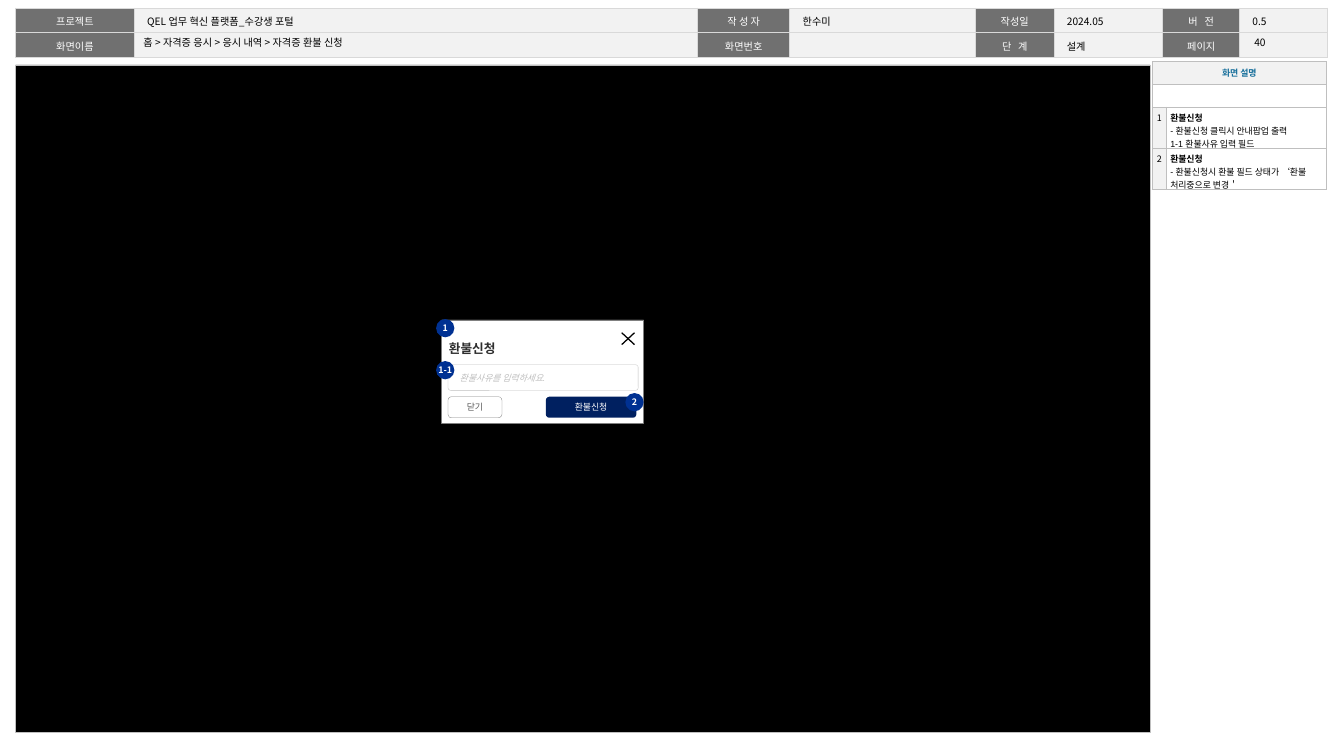
from lxml.etree import SubElement
from pptx import Presentation
from pptx.dml.color import RGBColor
from pptx.enum.shapes import MSO_CONNECTOR, MSO_SHAPE
from pptx.enum.text import MSO_ANCHOR, PP_ALIGN
from pptx.oxml.ns import qn
from pptx.util import Emu, Pt

PX = 9144  # 100 px to the inch
NOTO, ARIAL = "Noto Sans CJK KR", "Arial"
COLORS = {
    "black": "000000", "white": "FFFFFF", "label": "707070", "value": "F2F2F2",
    "header_rule": "D9D9D9", "rule": "BFBFBF", "popup_rule": "808080",
    "heading": "176F9B", "title": "2E2E2E", "close": "595959",
    "submit": "002060", "badge": "003192",
}
HEADER_ROWS = [
    ["프로젝트", "QEL 업무 혁신 플랫폼_수강생 포털", "작 성 자", "한수미",
     "작성일", "2024.05", "버 전", "0.5"],
    ["화면이름", "", "화면번호", "", "단 계", "설계", "페이지", ""],
]
SPREAD_LABELS = ("버 전", "단 계")
NOTES = [
    ("1", "환불신청\n- 환불신청 클릭시 안내팝업 출력\n1-1 환불사유 입력 필드"),
    ("2", "환불신청\n- 환불신청시 환불 필드 상태가 ‘환불 처리중으로 변경＇"),
]


def px(*lengths):
    return [Emu(length * PX) for length in lengths]


def rgb(name):
    return RGBColor.from_string(COLORS[name])


def style_run(run, size, color, font=NOTO, bold=False, italic=False):
    run.font.size = Pt(size)
    run.font.color.rgb = rgb(color)
    run.font.name = font
    run.font.bold = bold
    run.font.italic = italic
    SubElement(run._r.rPr, qn("a:ea"), typeface=NOTO)


def write(frame, text, size, color, align=PP_ALIGN.LEFT, line_spacing=None, **look):
    frame.text = text
    for paragraph in frame.paragraphs:
        paragraph.alignment = align
        if line_spacing:
            paragraph.line_spacing = line_spacing
        for run in paragraph.runs:
            style_run(run, size, color, **look)
        if not paragraph.runs:
            SubElement(paragraph._p, qn("a:endParaRPr"), sz=str(size * 100))


def set_margins(target, left, top, right, bottom):
    (target.margin_left, target.margin_top,
     target.margin_right, target.margin_bottom) = px(left, top, right, bottom)


def add_grid(slide, left, top, columns, rows):
    """Add a table without the banded style, sized by its columns and rows."""
    table = slide.shapes.add_table(
        len(rows), len(columns), *px(left, top, sum(columns), sum(rows))).table
    table.first_row = table.horz_banding = False
    for column, width in zip(table.columns, columns):
        column.width = Emu(width * PX)
    for row, height in zip(table.rows, rows):
        row.height = Emu(height * PX)
    return table


def paint_cell(cell, fill, rule, rule_width, side_margin):
    set_margins(cell, side_margin, 5, side_margin, 5)
    properties = cell._tc.get_or_add_tcPr()
    for side in ("lnL", "lnR", "lnT", "lnB"):
        border = SubElement(properties, qn(f"a:{side}"), w=str(Pt(rule_width)))
        paint = SubElement(border, qn("a:solidFill"))
        SubElement(paint, qn("a:srgbClr"), val=COLORS[rule])
    cell.fill.solid()
    cell.fill.fore_color.rgb = rgb(fill)


def add_box(slide, kind, box, fill=None, line=None, line_width=0.25):
    shape = slide.shapes.add_shape(kind, *px(*box))
    shape.shadow.inherit = False
    if fill:
        shape.fill.solid()
        shape.fill.fore_color.rgb = rgb(fill)
    else:
        shape.fill.background()
    if line:
        shape.line.color.rgb = rgb(line)
        shape.line.width = Pt(line_width)
    else:
        shape.line.fill.background()
    return shape


def write_in(shape, margins, text, size, color, anchor=MSO_ANCHOR.MIDDLE, wrap=True, **look):
    frame = shape.text_frame
    frame.word_wrap = wrap
    frame.vertical_anchor = anchor
    set_margins(frame, *margins)
    write(frame, text, size, color, **look)


def add_header(slide, left, top):
    header = add_grid(slide, left, top, [130, 616, 101, 203, 86, 119, 84, 96], [24, 24])
    for row, texts in enumerate(HEADER_ROWS):
        for column, text in enumerate(texts):
            is_label = column % 2 == 0
            cell = header.cell(row, column)
            paint_cell(cell, "label" if is_label else "value", "header_rule", 1, 14)
            write(cell.text_frame, text, 8, "white" if is_label else "black",
                  PP_ALIGN.CENTER if is_label else PP_ALIGN.LEFT, line_spacing=1.05)
            if text in SPREAD_LABELS:
                cell.text_frame.paragraphs[0].runs[0].font._rPr.set("spc", "180")
    for offset, width, text in ((130, 591, "홈 > 자격증 응시 > 응시 내역 > 자격증 환불 신청"),
                                (1345, 72, "40")):
        field = slide.shapes.add_textbox(*px(left + offset, top + 29, width, 16))
        write_in(field, (10, 5, 10, 5), text, 8, "black")


def add_description(slide, left, top):
    description = add_grid(slide, left, top, [16, 175], [25, 25, 34, 34])
    for row, fill in enumerate(("value", "white")):
        description.cell(row, 0).merge(description.cell(row, 1))
        for column in range(2):
            paint_cell(description.cell(row, column), fill, "rule", 0.25, 4)
            write(description.cell(row, column).text_frame, "", 7, "black")
    heading = description.cell(0, 0)
    heading.vertical_anchor = MSO_ANCHOR.MIDDLE
    heading.text_frame.clear()
    for leftover in heading.text_frame.paragraphs[0]._p.findall(qn("a:endParaRPr")):
        leftover.getparent().remove(leftover)
    write(heading.text_frame, "화면 설명", 7, "heading", PP_ALIGN.CENTER, bold=True)
    for row, (number, note) in enumerate(NOTES, start=2):
        number_cell, note_cell = description.cell(row, 0), description.cell(row, 1)
        paint_cell(number_cell, "value", "rule", 0.25, 4)
        write(number_cell.text_frame, number, 7, "black", PP_ALIGN.CENTER)
        paint_cell(note_cell, "white", "rule", 0.25, 4)
        note_cell.vertical_anchor = MSO_ANCHOR.MIDDLE
        write(note_cell.text_frame, note, 7, "black", font=ARIAL)
        note_cell.text_frame.paragraphs[0].runs[0].font.bold = True


def add_close_icon(slide, left, top, width, height):
    icon = slide.shapes.add_group_shape()
    right, bottom = left + width, top + height
    for ends in ((left, top, right, bottom), (right, top, left, bottom)):
        stroke = icon.shapes.add_connector(MSO_CONNECTOR.STRAIGHT, *px(*ends))
        stroke.line.color.rgb = rgb("black")
        stroke.line.width = Pt(1)
        SubElement(stroke._element.spPr, qn("a:effectLst"))


def add_refund_popup(slide, left, top, width, height):
    panel = add_box(slide, MSO_SHAPE.RECTANGLE, (left, top, width, height), "white", "popup_rule")
    write_in(panel, (8, 23, 0, 0), "환불신청", 10, "title", MSO_ANCHOR.TOP,
             font=ARIAL, bold=True)

    reason = add_box(slide, MSO_SHAPE.ROUNDED_RECTANGLE, (left + 7, top + 49, 208, 28),
                     line="rule")
    reason.adjustments[0] = 0.1
    write_in(reason, (12, 0, 8, 0), "환불사유를 입력하세요.", 7, "rule", font=ARIAL, italic=True)

    add_close_icon(slide, left + 197, top + 14, 14, 13)

    submit = add_box(slide, MSO_SHAPE.ROUNDED_RECTANGLE, (left + 114, top + 84, 99, 23), "submit")
    write_in(submit, (10, 5, 10, 5), "환불신청", 7, "white", align=PP_ALIGN.CENTER)
    close = add_box(slide, MSO_SHAPE.ROUNDED_RECTANGLE, (left + 7, top + 84, 59, 23),
                    line="popup_rule")
    write_in(close, (0, 5, 0, 5), "닫기", 7, "close", align=PP_ALIGN.CENTER)

    for number, x, y in (("1", -6, -1), ("1-1", -6, 45), ("2", 201, 80)):
        badge = add_box(slide, MSO_SHAPE.OVAL, (left + x, top + y, 20, 20), "badge")
        write_in(badge, (0, 0, 0, 0), number, 7, "white", wrap=False,
                 align=PP_ALIGN.CENTER, bold=True)


def main():
    presentation = Presentation()
    presentation.slide_width, presentation.slide_height = px(1470, 827)
    slide = presentation.slides.add_slide(presentation.slide_layouts[6])
    add_header(slide, 17, 9)
    add_box(slide, MSO_SHAPE.RECTANGLE, (17, 71, 1241, 730), "black", "rule", 0.5)
    add_description(slide, 1260, 67)
    add_refund_popup(slide, 483, 350, 221, 113)
    presentation.save("out.pptx")


if __name__ == "__main__":
    main()
